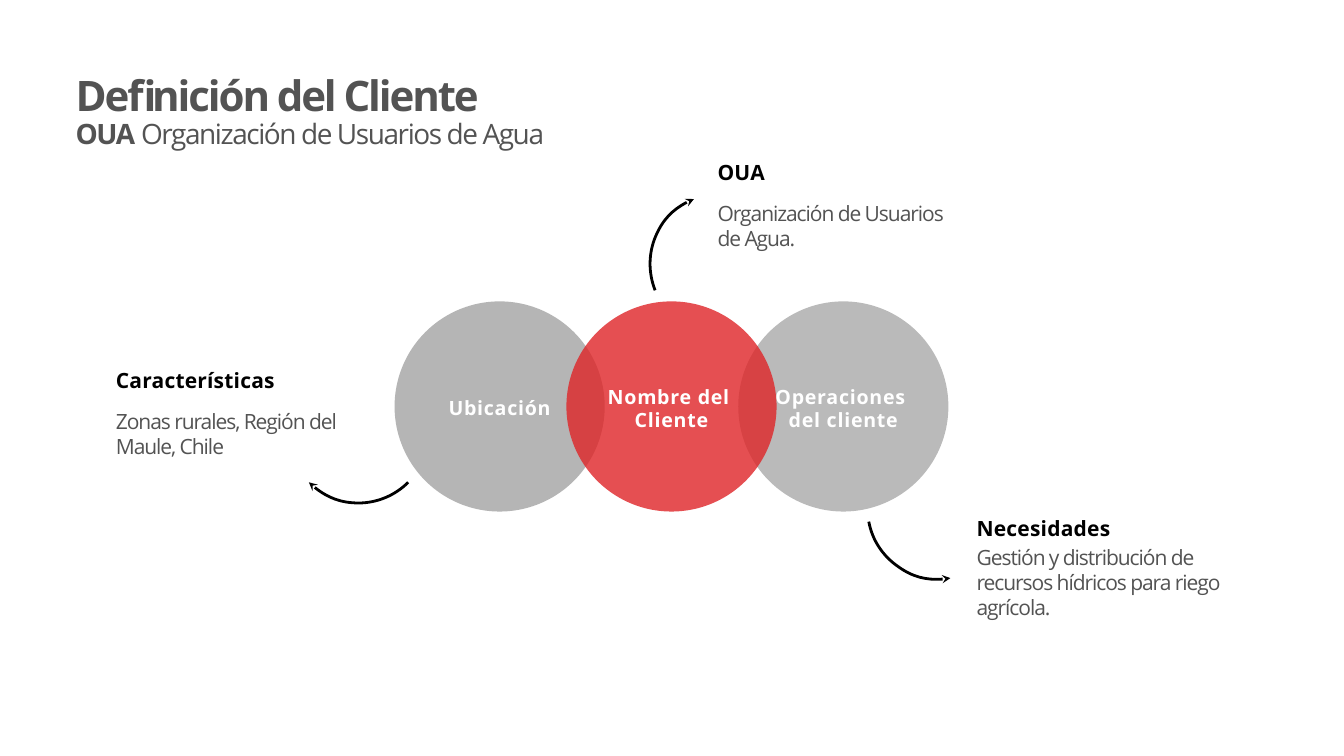
from dataclasses import dataclass

from lxml.etree import SubElement
from pptx import Presentation
from pptx.dml.color import RGBColor
from pptx.enum.shapes import MSO_SHAPE
from pptx.enum.text import MSO_ANCHOR, PP_ALIGN
from pptx.oxml.ns import qn
from pptx.util import Inches, Pt


@dataclass(frozen=True)
class Theme:
    font: str = "Open Sans"
    text: str = "535353"
    dark: str = "000000"
    light: str = "FFFFFF"
    gray: str = "848484"
    red: str = "DF2427"
    title_size: int = 60
    subtitle_size: int = 40
    note_size: int = 30
    label_size: int = 28
    arrow_width: int = 4


THEME = Theme()
DIAMETER = 4.17


def style_span(span, size, color, bold=False, spacing=0.0):
    span.font.name = THEME.font
    span.font.size = Pt(size)
    span.font.bold = bold
    span.font.color.rgb = RGBColor.from_string(color)
    span.font._element.set("spc", str(round(spacing * 100)))


def set_insets(frame, inset):
    frame.margin_left = frame.margin_right = Inches(inset)
    frame.margin_top = frame.margin_bottom = Inches(inset)


def add_text(page, left, top, width, height, lines, wrap=True,
             align=PP_ALIGN.LEFT, line_spacing=None, **style):
    box = page.shapes.add_textbox(
        Inches(left), Inches(top), Inches(width), Inches(height))
    frame = box.text_frame
    set_insets(frame, 0.06)
    frame.word_wrap = wrap
    frame.vertical_anchor = MSO_ANCHOR.MIDDLE
    frame.text = "\n".join(lines)
    for para in frame.paragraphs:
        para.alignment = align
        if line_spacing:
            para.line_spacing = line_spacing
        for span in para.runs:
            style_span(span, **style)


def add_heading(page, left, top, width, height):
    box = page.shapes.title
    box.left, box.top = Inches(left), Inches(top)
    box.width, box.height = Inches(width), Inches(height)
    frame = box.text_frame
    set_insets(frame, 0.1)
    frame.word_wrap = True
    frame.vertical_anchor = MSO_ANCHOR.TOP
    frame.text = "Definición del Cliente\nOUA "
    title, subtitle = frame.paragraphs
    subtitle.add_run().text = "Organización de Usuarios de Agua"
    for para in frame.paragraphs:
        para.alignment = PP_ALIGN.LEFT
        para.line_spacing = 0.9
    style_span(title.runs[0], THEME.title_size, THEME.text, True, -3)
    for span, bold in zip(subtitle.runs, (True, False)):
        style_span(span, THEME.subtitle_size, THEME.text, bold, -2)


def add_circle(page, left, top, color, opacity):
    circle = page.shapes.add_shape(
        MSO_SHAPE.ROUNDED_RECTANGLE, Inches(left), Inches(top),
        Inches(DIAMETER), Inches(DIAMETER))
    circle.adjustments[0] = 0.5
    circle.shadow.inherit = False
    circle.line.fill.background()
    circle.fill.solid()
    circle.fill.fore_color.rgb = RGBColor.from_string(color)
    tint = circle.element.spPr.find(qn("a:solidFill"))[0]
    SubElement(tint, qn("a:alpha"), val=str(opacity * 1000))


def add_circles(page, left, top):
    step = 3.41
    for column, color, opacity in (
            (2, THEME.dark, 27), (0, THEME.gray, 60), (1, THEME.red, 80)):
        add_circle(page, left + column * step, top, color, opacity)
    labels = (
        (["Ubicación"], 2.18, 0.58),
        (["Nombre del ", "Cliente"], 2.7, 1.05),
        (["Operaciones ", "del cliente"], 2.86, 1.05),
    )
    for column, (lines, width, height) in enumerate(labels):
        center = left + column * step + DIAMETER / 2
        middle = top + DIAMETER / 2 + 0.03
        add_text(page, center - width / 2, middle - height / 2, width, height,
                 lines, wrap=False, align=PP_ALIGN.CENTER,
                 size=THEME.label_size, color=THEME.light, bold=True,
                 spacing=1.1)


def add_curved_arrow(page, left, top, offsets):
    points = [(Inches(left + x), Inches(top + y)) for x, y in offsets]
    builder = page.shapes.build_freeform(Inches(left), Inches(top))
    builder.add_line_segments(points, close=False)
    arrow = builder.convert_to_shape()
    arrow.shadow.inherit = False
    arrow.fill.background()
    arrow.line.width = Pt(THEME.arrow_width)
    arrow.line.color.rgb = RGBColor.from_string(THEME.dark)
    SubElement(arrow.line._get_or_add_ln(), qn("a:tailEnd"), type="stealth")

    outline = next(arrow.element.iter(qn("a:path")))
    segments = outline.findall(qn("a:lnTo"))
    for start in range(0, len(segments), 3):
        curve = SubElement(outline, qn("a:cubicBezTo"))
        for segment in segments[start:start + 3]:
            curve.append(segment[0])
            outline.remove(segment)


def add_note(page, left, top, heading, heading_width, body, body_offset,
             body_height):
    add_text(page, left, top + body_offset, 5.11, body_height, [body],
             size=THEME.note_size, color=THEME.text, spacing=-1.5)
    add_text(page, left, top, heading_width, 0.68, [heading], wrap=False,
             line_spacing=1.2, size=THEME.note_size, color=THEME.dark,
             bold=True, spacing=0.3)


def build_client_page(deck):
    page = deck.slides.add_slide(deck.slide_layouts[5])
    add_heading(page, 1.4, 1.39, 18.57, 1.88)
    add_curved_arrow(page, 17.24, 10.35, (
        (0.07, 0.38), (0.29, 0.69), (0.58, 0.89),
        (0.87, 1.1), (1.24, 1.19), (1.62, 1.12)))
    add_curved_arrow(page, 8.1, 9.57, (
        (-0.27, 0.27), (-0.63, 0.41), (-0.98, 0.41),
        (-1.34, 0.41), (-1.69, 0.27), (-1.97, 0)))
    add_curved_arrow(page, 13, 5.76, (
        (-0.14, -0.36), (-0.13, -0.74), (0.01, -1.07),
        (0.15, -1.4), (0.41, -1.67), (0.77, -1.81)))
    add_circles(page, 7.83, 5.98)
    add_note(page, 2.24, 7.16, "Características", 3.3,
             "Zonas rurales, Región del Maule, Chile", 0.89, 1.12)
    add_note(page, 14.18, 3.02, "OUA", 1.07,
             "Organización de Usuarios de Agua.", 0.9, 1.12)
    add_note(page, 19.32, 10.09, "Necesidades", 2.79,
             "Gestión y distribución de recursos hídricos para riego agrícola.",
             0.64, 1.63)


def main():
    deck = Presentation()
    deck.slide_width, deck.slide_height = Inches(26.67), Inches(15)
    build_client_page(deck)
    deck.save("out.pptx")


if __name__ == "__main__":
    main()
